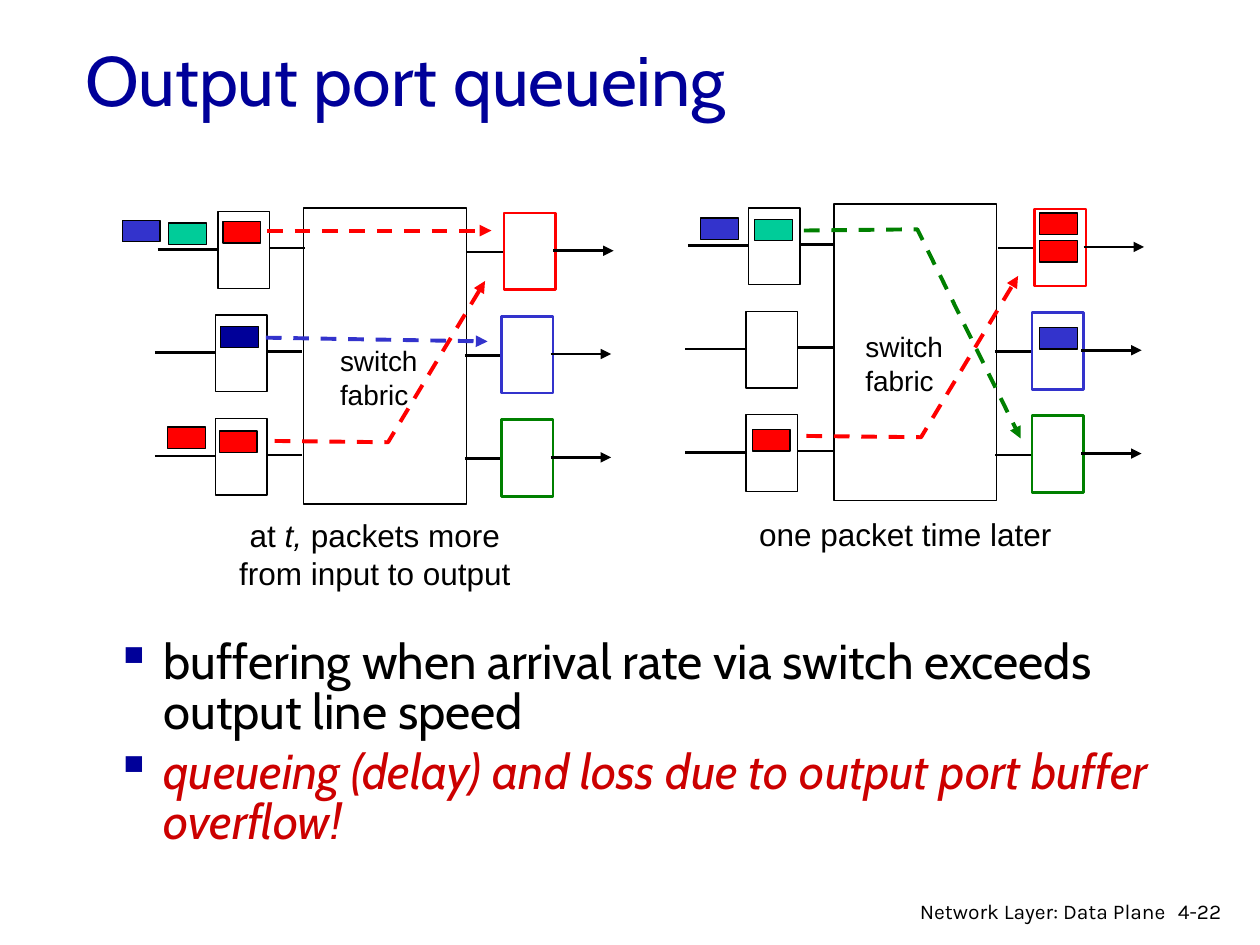
import pptx
import pptx.dml.color
import pptx.enum.dml
import pptx.enum.shapes
import pptx.enum.text
import pptx.oxml.ns
import pptx.util
from lxml import etree

Inches = pptx.util.Inches
Pt = pptx.util.Pt
ALIGN = pptx.enum.text.PP_ALIGN

BLACK, WHITE, RED, BLUE = "000000", "FFFFFF", "FF0000", "3333CC"
NAVY, GREEN, TEAL, CRIMSON = "000099", "008000", "00CC99", "CC0000"

# Offsets from the top left of a switch diagram
ROW_TOPS = (0, 0.82, 1.64)
ROW_SHIFTS = (0.02, 0, 0)
OUTPUT_COLOURS = (RED, BLUE, GREEN)


def colour(value):
    return pptx.dml.color.RGBColor.from_string(value)


def add_child(parent, tag, **attributes):
    child = etree.SubElement(parent, pptx.oxml.ns.qn(tag))
    for name, value in attributes.items():
        child.set(name, value)
    return child


def style_line(shape, line_colour, width, dashed=False, arrow=False):
    shape.line.color.rgb = colour(line_colour)
    shape.line.width = Pt(width)
    if dashed:
        shape.line.dash_style = pptx.enum.dml.MSO_LINE.DASH
    if arrow:
        add_child(shape.line._get_or_add_ln(), "a:tailEnd", type="triangle")


def add_box(page, left, top, width, height, fill=WHITE, line=BLACK, weight=0.75):
    box = page.shapes.add_shape(
        pptx.enum.shapes.MSO_SHAPE.RECTANGLE,
        Inches(left), Inches(top), Inches(width), Inches(height))
    box.shadow.inherit = False
    box.fill.solid()
    box.fill.fore_color.rgb = colour(fill)
    style_line(box, line, weight)


def add_line(page, start, end, line=BLACK, weight=1.5, dashed=False, arrow=False):
    connector = page.shapes.add_connector(
        pptx.enum.shapes.MSO_CONNECTOR.STRAIGHT,
        *(Inches(value) for value in (*start, *end)))
    style_line(connector, line, weight, dashed, arrow)
    add_child(connector._element.spPr, "a:effectLst")


def add_flow(page, points, line):
    """Dashed arrow showing the way of a packet through the fabric."""
    if len(points) == 2:
        add_line(page, *points, line, 2.25, dashed=True, arrow=True)
        return
    corners = [(Inches(x), Inches(y)) for x, y in points]
    builder = page.shapes.build_freeform(*corners[0])
    builder.add_line_segments(corners[1:], close=False)
    path = builder.convert_to_shape()
    path.shadow.inherit = False
    path.fill.background()
    style_line(path, line, 2.25, dashed=True, arrow=True)


def add_text(page, left, top, width, height, paragraphs, size, font,
             text_colour=BLACK, align=ALIGN.LEFT, wrap=True):
    """Each paragraph is a list of (text, italic) pairs."""
    box = page.shapes.add_textbox(
        Inches(left), Inches(top), Inches(width), Inches(height))
    frame = box.text_frame
    frame.word_wrap = wrap
    for index, spans in enumerate(paragraphs):
        para = frame.paragraphs[0] if index == 0 else frame.add_paragraph()
        para.alignment = align
        for text, italic in spans:
            span = para.add_run()
            span.text = text
            span.font.size = Pt(size)
            span.font.name = font
            span.font.italic = italic
            span.font.color.rgb = colour(text_colour)
    return frame


def add_switch(page, left, top, flows, packets, label, caption, caption_lines):
    # Fabric
    add_box(page, left + 1.18, top, 1.29, 2.35)

    # Ports and their lines, one row each
    for row_top, shift, output in zip(ROW_TOPS, ROW_SHIFTS, OUTPUT_COLOURS):
        x, y = left + shift, top + row_top
        add_box(page, x + 0.48, y + 0.03, 0.41, 0.61)
        add_box(page, x + 2.75, y + 0.04, 0.41, 0.61, line=output, weight=1.5)
        for start, length, drop, arrow in (
                (0, 0.48, 0.33, False), (0.89, 0.28, 0.32, False),
                (2.46, 0.28, 0.35, False), (3.14, 0.48, 0.34, True)):
            add_line(page, (x + start, y + drop), (x + start + length, y + drop),
                     arrow=arrow)

    # Packets and their ways
    for points, line in flows:
        add_flow(page, [(left + x, top + y) for x, y in points], line)
    for x, y, fill in packets:
        add_box(page, left + x, top + y, 0.3, 0.17, fill)

    # Label and caption
    add_text(page, left + label[0], top + label[1], 0.82, 0.64,
             [[("switch", False)], [("fabric", False)]], 16, "Arial", wrap=False)
    add_text(page, left + 0.4, top + caption, 2.69, 0.7, caption_lines,
             18, "Arial", align=ALIGN.CENTER)


def add_bullets(page, left, top, width, height):
    points = (
        ("buffering when arrival rate via switch exceeds output line speed",
         False, BLACK),
        ("queueing (delay) and loss due to output port buffer overflow!",
         True, CRIMSON))
    frame = add_text(page, left, top, width, height,
                     [[(text, italic)] for text, italic, _ in points], 28, "Cabin")
    for para, (_, _, text_colour) in zip(frame.paragraphs, points):
        para.runs[0].font.color.rgb = colour(text_colour)
        para.line_spacing = 0.85
        para.space_before = Pt(5.6)
        properties = para._p.get_or_add_pPr()
        properties.set("marL", str(Inches(0.38)))
        properties.set("indent", str(-Inches(0.38)))
        add_child(add_child(properties, "a:buClr"), "a:srgbClr", val=NAVY)
        add_child(properties, "a:buChar", char="▪")


def add_footer(page, left, top):
    add_text(page, left, top, 2.38, 0.26, [[("Network Layer: Data Plane", False)]],
             12, "Karla", align=ALIGN.RIGHT)
    add_text(page, left + 2.28, top, 0.61, 0.3, [[("4-22", False)]], 12, "Karla")


def main():
    deck = pptx.Presentation()
    deck.slide_width, deck.slide_height = Inches(10), Inches(7.5)
    page = deck.slides.add_slide(deck.slide_layouts[6])

    title = add_text(page, 0.58, 0.22, 8.5, 0.8,
                     [[("Output port queueing", False)]], 40, "Cabin", NAVY)
    title.vertical_anchor = pptx.enum.text.MSO_ANCHOR.MIDDLE

    # Switch at time t
    add_switch(
        page, 1.23, 1.65,
        flows=(([(0.89, 0.18), (2.67, 0.18)], RED),
               ([(0.95, 1.85), (1.85, 1.86), (2.62, 0.58)], RED),
               ([(0.88, 1.03), (2.64, 1.06)], BLUE)),
        packets=((-0.26, 0.1, BLUE), (0.11, 0.12, TEAL), (0.54, 0.11, RED),
                 (0.52, 0.94, NAVY), (0.1, 1.74, RED), (0.51, 1.77, RED)),
        label=(1.37, 1.03), caption=2.4,
        caption_lines=[[("at ", False), ("t,", True), (" packets more", False)],
                       [("from input to output", False)]])

    # Switch one packet time later
    add_switch(
        page, 5.44, 1.62,
        flows=(([(0.96, 1.84), (1.87, 1.85), (2.64, 0.57)], RED),
               ([(0.94, 0.21), (1.84, 0.2), (2.66, 1.86)], GREEN)),
        packets=((0.12, 0.11, BLUE), (0.55, 0.12, TEAL), (0.53, 1.79, RED),
                 (2.81, 0.07, RED), (2.81, 0.29, RED), (2.81, 0.98, BLUE)),
        label=(1.33, 0.95), caption=2.42,
        caption_lines=[[("one packet time later", False)]])

    add_bullets(page, 0.82, 5.03, 8.5, 1.3)
    add_footer(page, 6.97, 7.08)
    deck.save("out.pptx")


if __name__ == "__main__":
    main()
